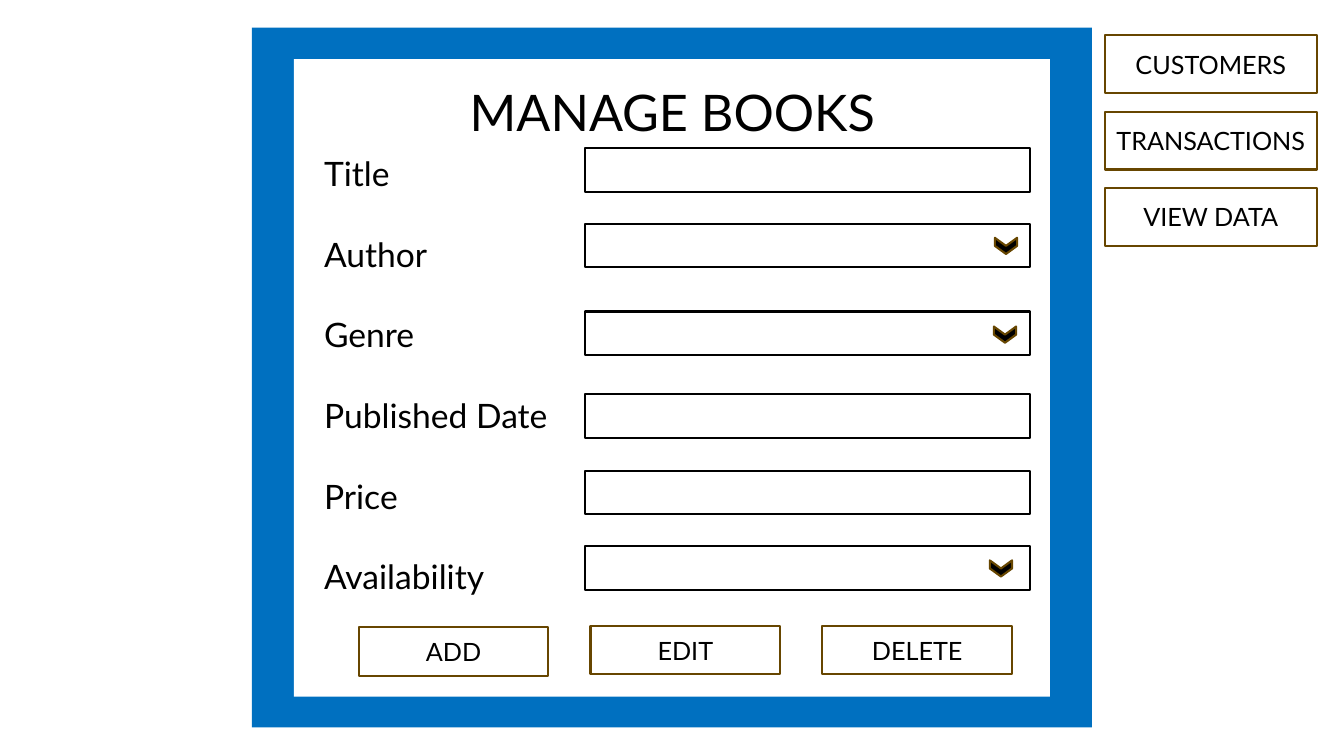
from pptx import Presentation
from pptx.dml.color import RGBColor
from pptx.enum.shapes import MSO_SHAPE
from pptx.enum.text import MSO_ANCHOR, PP_ALIGN
from pptx.util import Inches, Pt

WIDE, HIGH = Inches(13.33), Inches(7.5)
COL, ROW = WIDE / 160, HIGH / 90
INKS = {"blue": "0070C0", "white": "FFFFFF", "black": "000000", "brown": "674600"}

LABELS = ["Title", "Author", "Genre", "Published Date", "Price", "Availability"]
TOPS = [17.64, 26.64, 37.08, 46.92, 56.04, 65.04]
ARROWS = [(119.76, 29.28), (119.64, 39.84), (119.16, 67.68)]
ACTIONS = [("ADD", 74.64), ("EDIT", 74.5), ("DELETE", 74.5)]
PAGES = ["CUSTOMERS", "TRANSACTIONS", "VIEW DATA"]


def ink(name):
    return RGBColor.from_string(INKS[name])


def place(x, y, w, h):
    """Turn columns and rows into slide lengths."""
    return round(x * COL), round(y * ROW), round(w * COL), round(h * ROW)


def write(frame, lines, size=18, align=PP_ALIGN.CENTER, anchor=MSO_ANCHOR.MIDDLE,
          after=0, side=0.05):
    frame.word_wrap = True
    frame.vertical_anchor = anchor
    frame.margin_left = frame.margin_right = Inches(side)
    for i, line in enumerate(lines):
        para = frame.paragraphs[0] if i == 0 else frame.add_paragraph()
        para.alignment = align
        para.space_after = Pt(after)
        run = para.add_run()
        run.text = line
        run.font.size = Pt(size)
        run.font.name = "Lato"
        run.font.color.rgb = ink("black")


def block(slide, box, fill="white", line=None, kind=MSO_SHAPE.RECTANGLE):
    shape = slide.shapes.add_shape(kind, *place(*box))
    shape.shadow.inherit = False
    shape.fill.solid()
    shape.fill.fore_color.rgb = ink(fill)
    if line:
        shape.line.color.rgb = ink(line)
        shape.line.width = Pt(1.5)
    else:
        shape.line.fill.background()
    return shape


def label(slide, box, lines, **form):
    text = slide.shapes.add_textbox(*place(*box))
    write(text.text_frame, lines, anchor=MSO_ANCHOR.TOP, side=0.1, **form)


def button(slide, box, word):
    write(block(slide, box, line="brown").text_frame, [word])


def arrow(slide, x, y):
    """Draw a drop-down mark centred on x, y."""
    w, h = 1.92, 2.64
    mark = block(slide, (x - w / 2, y - h / 2, w, h), "black", "brown",
                 MSO_SHAPE.CHEVRON)
    mark.rotation = 90


def main():
    deck = Presentation()
    deck.slide_width, deck.slide_height = WIDE, HIGH
    slide = deck.slides.add_slide(deck.slide_layouts[6])

    block(slide, (30, 3.3, 100, 83.3), "blue")
    block(slide, (35, 7.05, 90, 75.9))
    label(slide, (52.8, 9.1, 54.5, 8.5), ["MANAGE BOOKS"], size=36)
    label(slide, (37.4, 17.64, 30.7, 54.5), LABELS, size=24,
          align=PP_ALIGN.LEFT, after=28.8)

    for top in TOPS:
        block(slide, (69.6, top, 53, 5.2), line="black")
    for x, y in ARROWS:
        arrow(slide, x, y)
    for i, (word, top) in enumerate(ACTIONS):
        button(slide, (42.7 + 27.6 * i, top, 22.6, 5.8), word)
    for i, word in enumerate(PAGES):
        button(slide, (131.5, 4.2 + 9.08 * i, 25.3, 6.9), word)

    deck.save("out.pptx")


if __name__ == "__main__":
    main()
